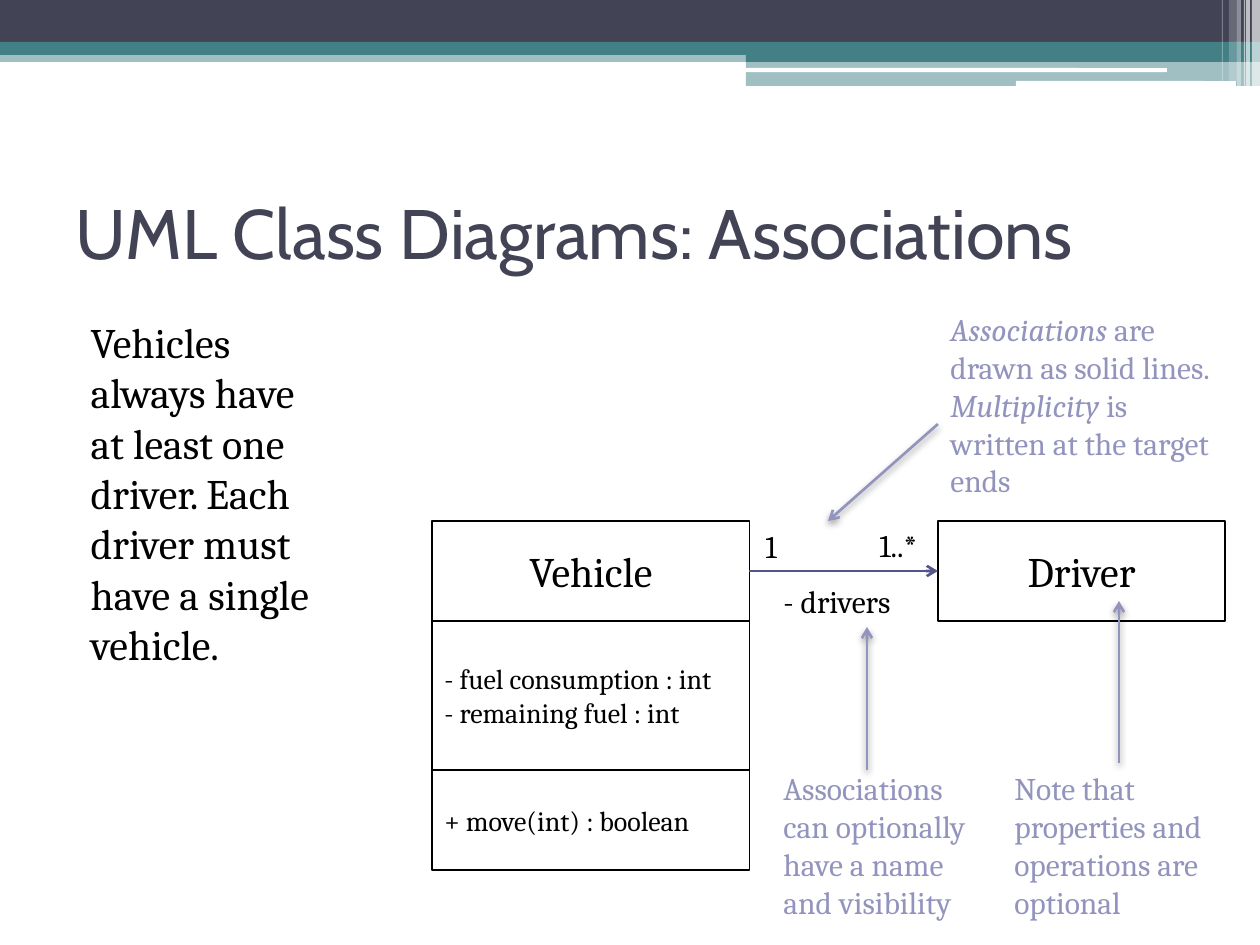
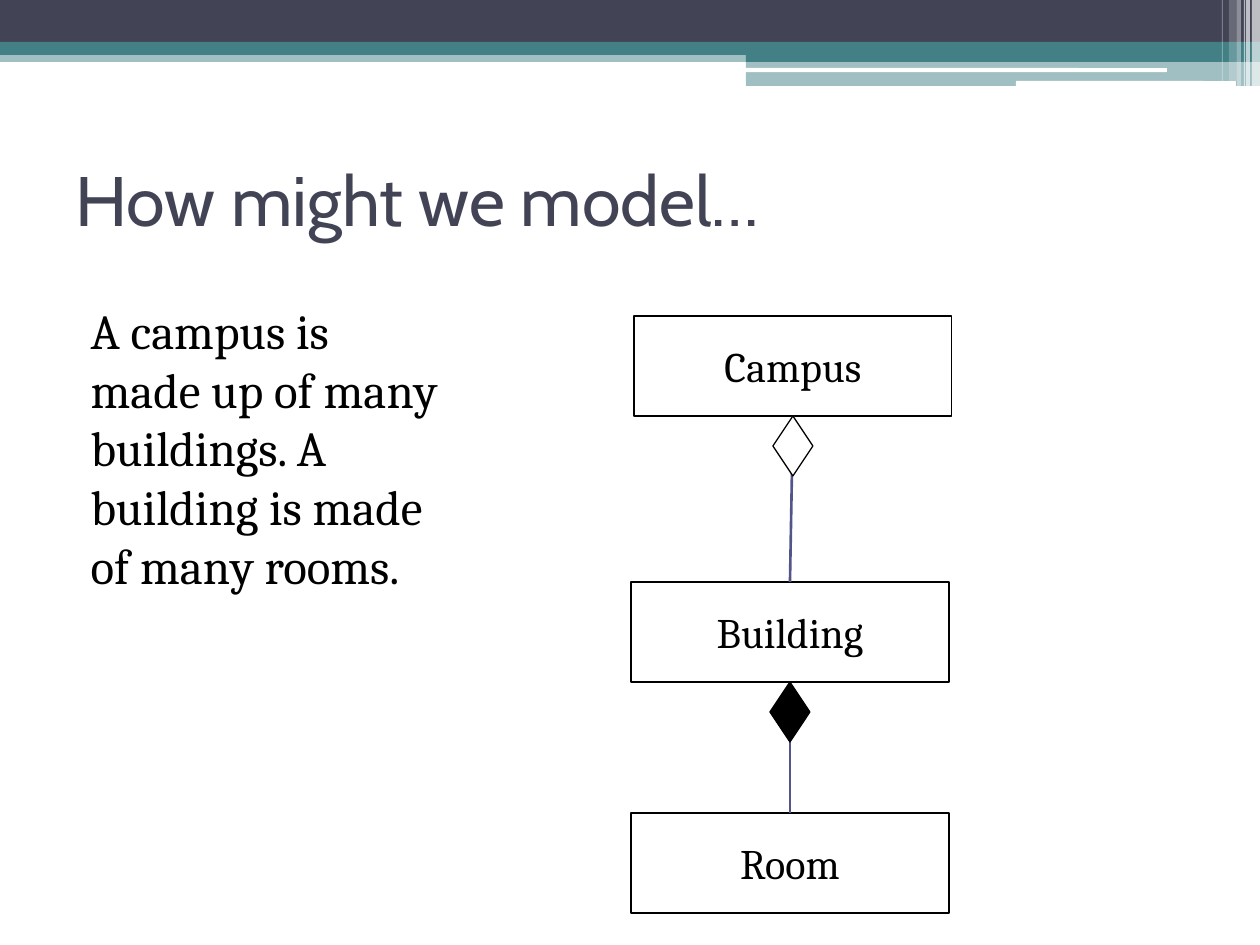
from lxml import etree
from pptx import Presentation, util as u
from pptx.dml.color import RGBColor
from pptx.enum import shapes, text
from pptx.oxml import ns

PX = 7257
INK, SLATE, TEAL, WHITE = "000000", "424456", "438086", "FFFFFF"
NOTE, LINK = "9394BE", "53548A"
LEFT, CENTER = text.PP_ALIGN.LEFT, text.PP_ALIGN.CENTER
TOP, MIDDLE = text.MSO_ANCHOR.TOP, text.MSO_ANCHOR.MIDDLE
FIXED, GROW = text.MSO_AUTO_SIZE.NONE, text.MSO_AUTO_SIZE.SHAPE_TO_FIT_TEXT
RECT, DIAMOND = shapes.MSO_SHAPE.RECTANGLE, shapes.MSO_SHAPE.DIAMOND
ROUND = shapes.MSO_SHAPE.ROUNDED_RECTANGLE


def colour(code):
    return RGBColor.from_string(code)


def write(frame, content, size, code=INK, font="Cambria", align=LEFT, **settings):
    for name, value in settings.items():
        setattr(frame, name, value)
    for index, line in enumerate(content.split("\n")):
        paragraph = frame.add_paragraph() if index else frame.paragraphs[0]
        paragraph.alignment = align
        for part, words in enumerate(line.split("_")):
            if words:
                run = paragraph.add_run()
                run.text = words
                look = {"name": font, "size": u.Pt(size), "italic": part % 2 == 1}
                for name, value in look.items():
                    setattr(run.font, name, value)
                run.font.color.rgb = colour(code)


presentation = Presentation()
presentation.slide_width, presentation.slide_height = u.Inches(10), u.Inches(7.5)

pages = [
    ("UML Class Diagrams: Associations", 158,
     "Vehicles always have at least one driver. Each driver must have a single vehicle.",
     (63, 310, 280, 596), 24),
    ("How might we model…", 125,
     "A campus is made up of many buildings. A building is made of many rooms.",
     (63, 294, 398, 596), 28),
]
slides = []
for heading, top, content, place, size in pages:
    slide = presentation.slides.add_slide(presentation.slide_layouts[1])
    slides.append(slide)
    title, body = slide.shapes.title, slide.placeholders[1]
    for holder, spot in ((title, (63, top, 1134, 147)), (body, place)):
        for name, value in zip(("left", "top", "width", "height"), spot):
            setattr(holder, name, value * PX)
    write(title.text_frame, heading, 40, SLATE, "Cabin",
          vertical_anchor=MIDDLE, auto_size=FIXED, word_wrap=True)
    write(body.text_frame, content, size,
          vertical_anchor=TOP, auto_size=FIXED, word_wrap=True)
    paragraph = body.text_frame.paragraphs[0]
    paragraph.space_before = u.Pt(3)
    properties = paragraph.runs[0].font and paragraph._p.get_or_add_pPr()
    properties.set("marL", str(15 * PX))
    properties.set("indent", "0")
    etree.SubElement(properties, ns.qn("a:buNone"))

bands = [
    (RECT, (0, 50, 1260, 12), TEAL, 50),
    (RECT, (0, 0, 1260, 43), SLATE, 100),
    (RECT, (0, 42, 1260, 13), TEAL, 100),
    (RECT, (746, 49, 514, 13), TEAL, 100),
    (RECT, (746, 61, 514, 25), TEAL, 50),
    (ROUND, (745, 68, 422, 4), WHITE, 100),
    (ROUND, (1016, 81, 220, 5), WHITE, 100),
]
stripes = [(1252, 8, 86, 65), (1246, 4, 86, 65), (1244, 1, 86, 60),
           (1237, 4, 86, 40), (1229, 8, 81, 20), (1222, 1, 81, 30)]
bands += [(RECT, (left, 0, width, height), WHITE, opacity)
          for left, width, height, opacity in stripes]
master_tree = presentation.slide_master.shapes.element
for kind, place, code, opacity in bands:
    band = slides[0].shapes.add_shape(kind, *(value * PX for value in place))
    band.shadow.inherit = False
    band.fill.solid()
    band.fill.fore_color.rgb = colour(code)
    band.line.fill.background()
    if opacity < 100:
        tint = band.element.spPr.find(".//" + ns.qn("a:srgbClr"))
        etree.SubElement(tint, ns.qn("a:alpha"), val=str(opacity * 1000))
    master_tree.append(band.element)

association, model = slides
boxes = [
    (association, (432, 521, 318, 100), "Vehicle", 24, CENTER),
    (association, (432, 621, 318, 149), "- fuel consumption : int\n- remaining fuel : int", 16, LEFT),
    (association, (432, 770, 318, 100), "+ move(int) : boolean", 16, LEFT),
    (association, (938, 521, 287, 100), "Driver", 24, CENTER),
    (model, (634, 316, 318, 100), "Campus", 24, CENTER),
    (model, (631, 582, 318, 100), "Building", 24, CENTER),
    (model, (631, 813, 318, 100), "Room", 24, CENTER),
]
for slide, place, content, size, align in boxes:
    box = slide.shapes.add_shape(RECT, *(value * PX for value in place))
    box.shadow.inherit = False
    box.fill.background()
    box.line.color.rgb = colour(INK)
    box.line.width = u.Pt(0.75)
    write(box.text_frame, content, size, align=align, vertical_anchor=MIDDLE, word_wrap=True)

labels = [
    ((867, 520, 72, 50), "1..*", INK, False),
    ((753, 521, 39, 50), "1", INK, False),
    ((771, 576, 144, 50), "- drivers", INK, False),
    ((1002, 763, 233, 165), "Note that properties and operations are optional", NOTE, True),
    ((938, 304, 287, 242),
     "_Associations_ are drawn as solid lines. _Multiplicity_ is written at the target ends",
     NOTE, True),
    ((771, 763, 224, 165), "Associations can optionally have a name and visibility", NOTE, True),
]
for place, content, code, wrap in labels:
    label = association.shapes.add_textbox(*(value * PX for value in place))
    write(label.text_frame, content, 18, code, word_wrap=wrap, auto_size=GROW)

lines = [
    (association, (938, 424, 828, 521), NOTE, True),
    (association, (1119, 763, 1119, 601), NOTE, True),
    (association, (749, 571, 938, 571), LINK, True),
    (association, (867, 770, 867, 627), NOTE, True),
    (model, (790, 813, 790, 682), LINK, False),
    (model, (793, 416, 790, 582), LINK, False),
]
for slide, ends, code, arrow in lines:
    connector = slide.shapes.add_connector(
        shapes.MSO_CONNECTOR.STRAIGHT, *(value * PX for value in ends))
    connector.line.color.rgb = colour(code)
    connector.line.width = u.Pt(1.5)
    properties = connector.element.spPr
    if arrow:
        etree.SubElement(properties.find(ns.qn("a:ln")), ns.qn("a:tailEnd"), type="arrow")
    effects = etree.SubElement(properties, ns.qn("a:effectLst"))
    if code == NOTE:
        shadow = etree.SubElement(effects, ns.qn("a:outerShdw"), blurRad="52000",
                                  dist="25400", dir="5400000", rotWithShape="0")
        tint = etree.SubElement(shadow, ns.qn("a:srgbClr"), val=INK)
        etree.SubElement(tint, ns.qn("a:alpha"), val="40000")

for left, top, code in ((773, 416, WHITE), (770, 682, INK)):
    diamond = model.shapes.add_shape(DIAMOND, left * PX, top * PX, 40 * PX, 60 * PX)
    diamond.shadow.inherit = False
    diamond.fill.solid()
    diamond.fill.fore_color.rgb = colour(code)
    diamond.line.color.rgb = colour(INK)
    diamond.line.width = u.Pt(0.75)

presentation.save("out.pptx")
